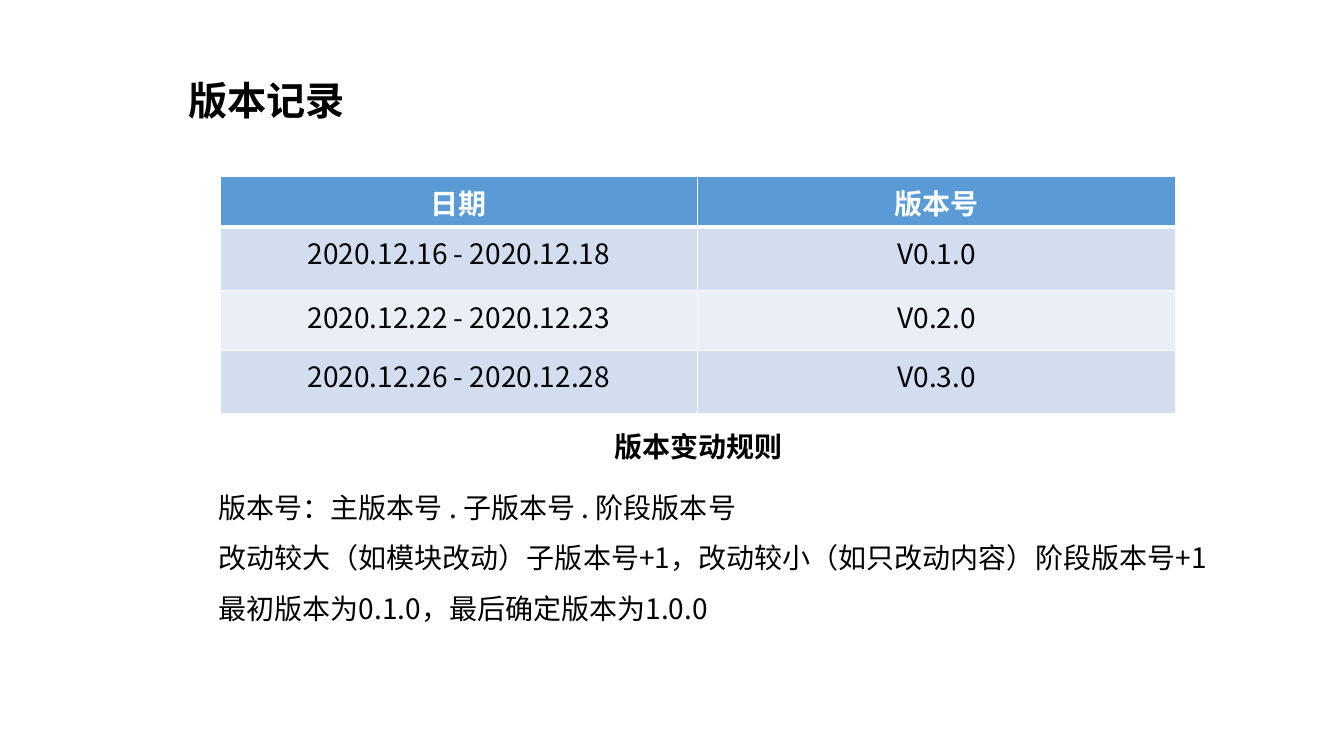
from dataclasses import dataclass

from lxml.etree import SubElement
from pptx import Presentation
from pptx.dml.color import RGBColor as Color
from pptx.enum.text import MSO_AUTO_SIZE as AutoSize, PP_ALIGN as Align
from pptx.oxml.ns import qn
from pptx.util import Pt


@dataclass(frozen=True)
class Theme:
    ink: str = "000000"
    white: str = "FFFFFF"
    header: str = "5B9BD5"
    bands: tuple = ("D2DEEF", "EAEFF7")
    body_font: str = "Noto Sans CJK SC"
    title_font: str = "Calibri"
    title_size: int = 28
    body_size: int = 20
    thin: int = 1
    thick: int = 3


class SlideBuilder:
    def __init__(self, slide, theme):
        self.slide = slide
        self.theme = theme

    def styled_run(self, paragraph, text, color=None, font=None, **formats):
        """Put one styled run into a paragraph."""
        run = paragraph.add_run()
        run.text = text
        values = {"name": font or self.theme.body_font,
                  "size": Pt(self.theme.body_size), "bold": False, **formats}
        for name, value in values.items():
            setattr(run.font, name, value)
        run.font.color.rgb = Color.from_string(color or self.theme.ink)
        east_asian = SubElement(run.font._element, qn("a:ea"))
        east_asian.set("typeface", self.theme.body_font)

    def text(self, box, lines, align=Align.LEFT, spacing=None, wrap=True, **formats):
        shape = self.slide.shapes.add_textbox(*map(Pt, box))
        frame = shape.text_frame
        frame.word_wrap = wrap
        frame.auto_size = AutoSize.SHAPE_TO_FIT_TEXT
        for index, line in enumerate(lines):
            paragraph = frame.add_paragraph() if index else frame.paragraphs[0]
            paragraph.alignment = align
            paragraph.line_spacing = spacing
            self.styled_run(paragraph, line, **formats)

    def borders(self, cell, widths):
        """Draw white cell edges; they must come before the cell fill."""
        properties = cell._tc.get_or_add_tcPr()
        for edge, width in widths.items():
            line = SubElement(properties, qn(f"a:ln{edge}"), w=str(Pt(width)))
            fill = SubElement(line, qn("a:solidFill"))
            SubElement(fill, qn("a:srgbClr"), val=self.theme.white)

    def table(self, box, rows, heights):
        theme = self.theme
        frame = self.slide.shapes.add_table(len(rows), len(rows[0]), *map(Pt, box))
        table = frame.table
        for row_index, (values, height) in enumerate(zip(rows, heights)):
            table.rows[row_index].height = Pt(height)
            is_header = row_index == 0
            fill = theme.header if is_header else theme.bands[(row_index - 1) % 2]
            for column_index, value in enumerate(values):
                cell = table.cell(row_index, column_index)
                self.borders(cell, {
                    "L": theme.thin, "R": theme.thin,
                    "T": theme.thick if row_index == 1 else theme.thin,
                    "B": theme.thick if is_header else theme.thin})
                cell.fill.solid()
                cell.fill.fore_color.rgb = Color.from_string(fill)
                paragraph = cell.text_frame.paragraphs[0]
                paragraph.alignment = Align.CENTER
                self.styled_run(paragraph, value, bold=is_header,
                                color=theme.white if is_header else theme.ink)


def main():
    presentation = Presentation()
    presentation.slide_width, presentation.slide_height = Pt(960), Pt(540)
    theme = Theme()
    slide = presentation.slides.add_slide(presentation.slide_layouts[6])
    builder = SlideBuilder(slide, theme)

    # Version history
    builder.table((157.2, 126, 682.4, 165.7), [
        ("日期", "版本号"),
        ("2020.12.16 - 2020.12.18", "V0.1.0"),
        ("2020.12.22 - 2020.12.23", "V0.2.0"),
        ("2020.12.26 - 2020.12.28", "V0.3.0"),
    ], heights=(32.4, 45.4, 42.5, 45.4))

    # Numbering rules
    builder.text((149, 334.8, 720, 116), [
        "版本号：主版本号 . 子版本号 . 阶段版本号",
        "改动较大（如模块改动）子版本号+1，改动较小（如只改动内容）阶段版本号+1",
        "最初版本为0.1.0，最后确定版本为1.0.0",
    ], spacing=1.5)

    # Slide title and rules heading
    builder.text((127.4, 51.1, 591, 41), ["版本记录"], font=theme.title_font,
                 size=Pt(theme.title_size), bold=True)
    builder.text((431.3, 303.1, 135.4, 31.7), ["版本变动规则"],
                 align=Align.CENTER, wrap=False, bold=True)

    presentation.save("out.pptx")


if __name__ == "__main__":
    main()
